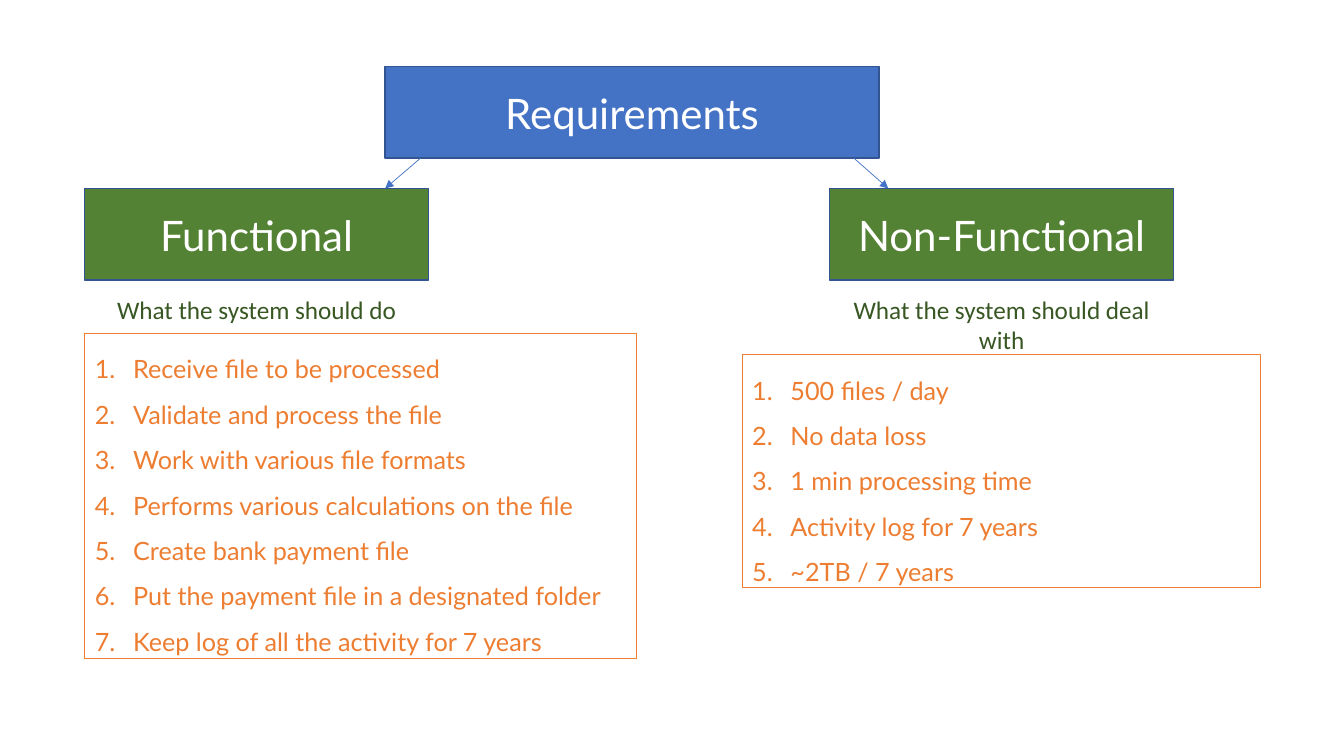
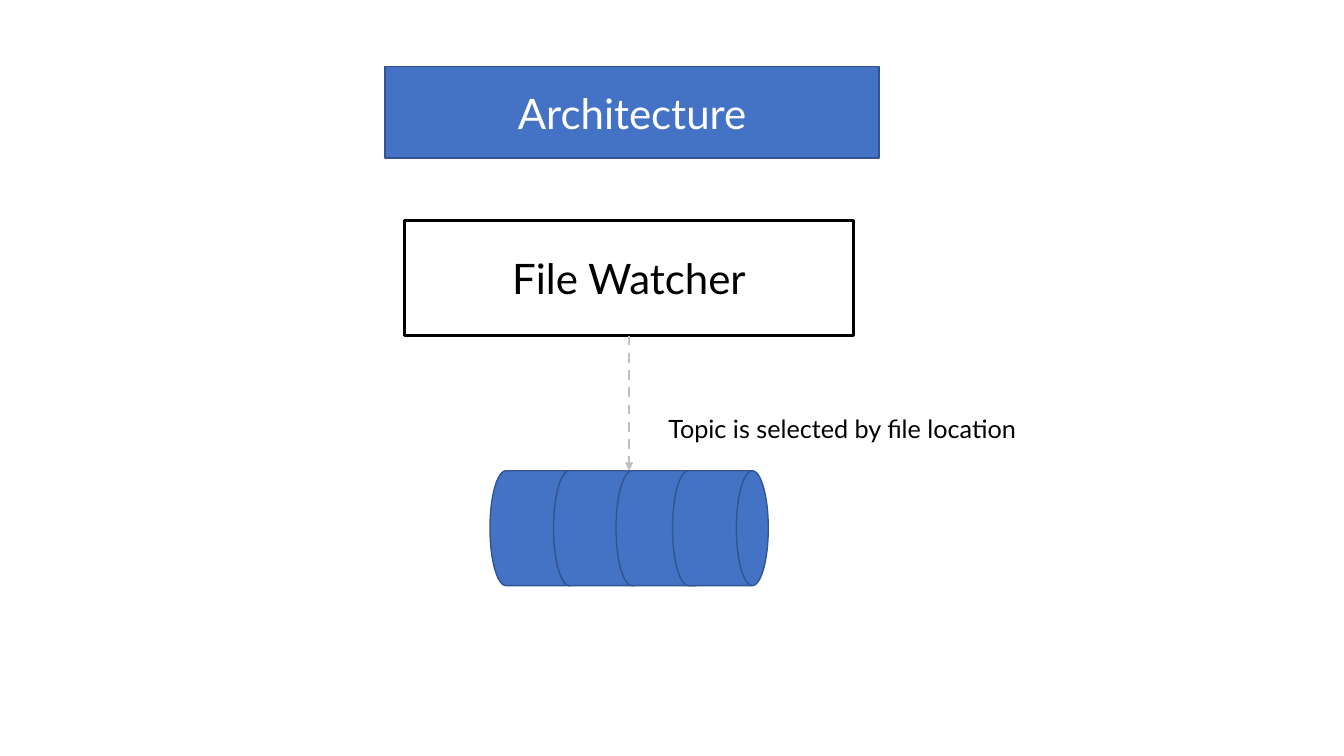
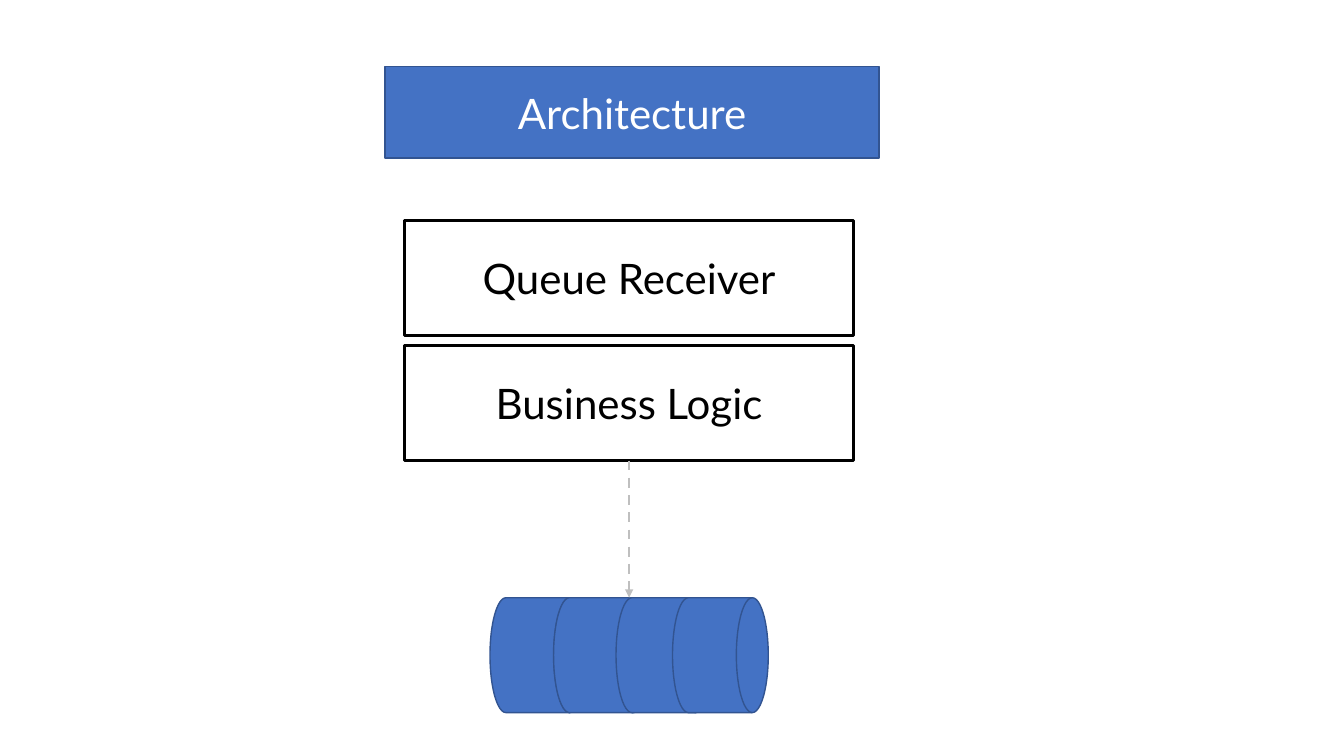
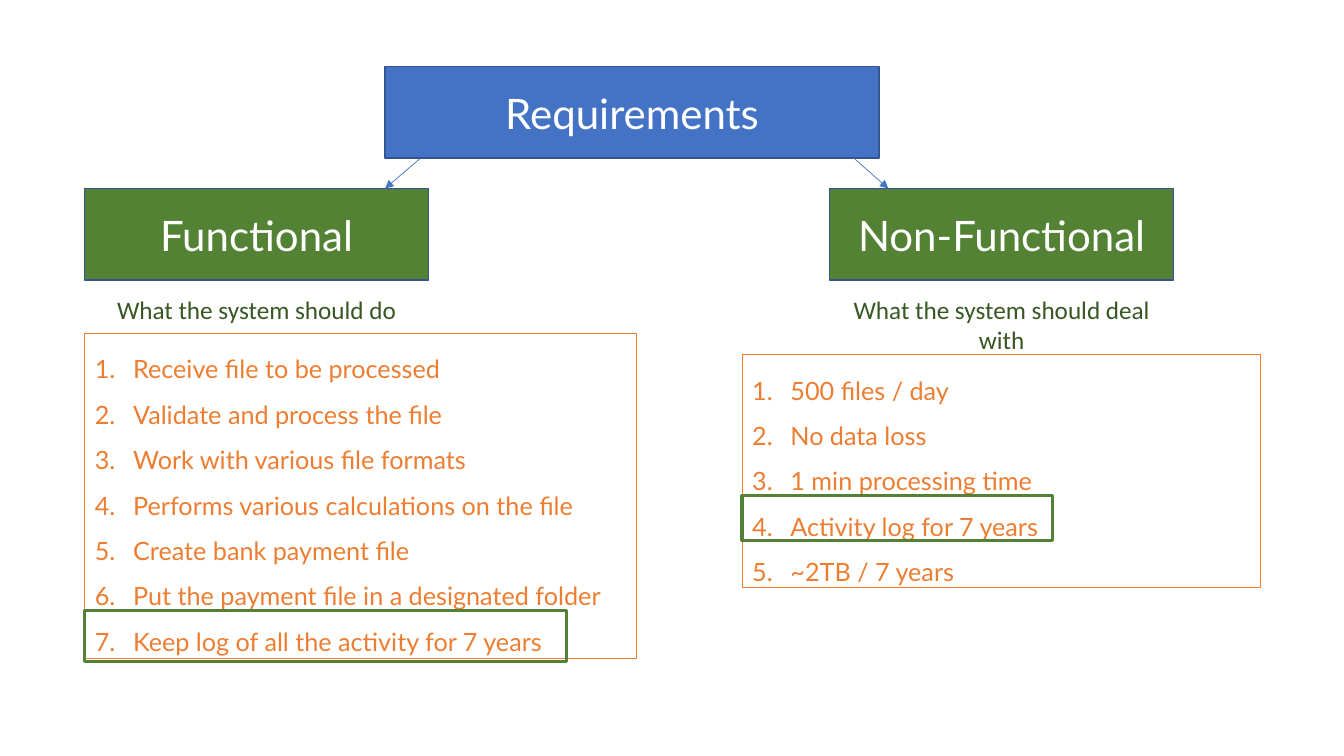
"""Build the requirements and architecture slides."""

import dataclasses
import typing

import pptx
import pptx.dml.color
import pptx.enum.dml
import pptx.enum.shapes
import pptx.enum.text
import pptx.oxml
import pptx.oxml.ns
import pptx.presentation
import pptx.shapes.autoshape
import pptx.shapes.connector
import pptx.slide
import pptx.util

Inches = pptx.util.Inches
Pt = pptx.util.Pt
PresetShape = pptx.enum.shapes.MSO_SHAPE
Anchor = pptx.enum.text.MSO_ANCHOR
Align = pptx.enum.text.PP_ALIGN
AutoSize = pptx.enum.text.MSO_AUTO_SIZE

COLOURS = {
    "blue": "4472C4",
    "outline": "325491",
    "green": "548235",
    "dark_green": "385723",
    "orange": "ED7D31",
    "grey": "BFBFBF",
    "black": "000000",
    "white": "FFFFFF",
}

TWO_CONTENT_LAYOUT = 3
TITLE_ONLY_LAYOUT = 5
LIST_INDENT = Inches(0.38)
DRUM_LEFTS = (4.86, 5.49, 6.11, 6.67)


@dataclasses.dataclass(frozen=True)
class Box:
    left: float
    top: float
    width: float
    height: float

    def lengths(self) -> tuple[pptx.util.Length, ...]:
        return tuple(Inches(value) for value in dataclasses.astuple(self))


@dataclasses.dataclass(frozen=True)
class TextStyle:
    colour: str
    font: dict[str, typing.Any]
    paragraph: dict[str, typing.Any]
    frame: dict[str, typing.Any]


@dataclasses.dataclass(frozen=True)
class Branch:
    heading: str
    heading_box: Box
    caption: str
    caption_box: Box
    items: tuple[str, ...]
    list_box: Box
    arrow: tuple[float, float]
    highlight_box: Box


HEADING_FONT = {"name": "Lato", "size": Pt(30)}
BODY_FONT = {"name": "Lato", "size": Pt(18)}
CENTRED = {"alignment": Align.CENTER}
MIDDLE = {"word_wrap": True, "auto_size": AutoSize.NONE, "vertical_anchor": Anchor.MIDDLE}
FIXED = {"word_wrap": True, "auto_size": AutoSize.NONE, "vertical_anchor": Anchor.TOP}
GROWING = {"word_wrap": True, "auto_size": AutoSize.SHAPE_TO_FIT_TEXT, "vertical_anchor": Anchor.TOP}

STYLES = {
    "heading": TextStyle("white", HEADING_FONT, CENTRED, MIDDLE),
    "component": TextStyle("black", HEADING_FONT, CENTRED, MIDDLE),
    "caption": TextStyle("dark_green", {"name": "Calibri", "size": Pt(18)}, CENTRED, GROWING),
    "list": TextStyle(
        "orange", BODY_FONT,
        {"alignment": Align.LEFT, "line_spacing": 1.5, "space_before": Pt(0)}, FIXED,
    ),
    "note": TextStyle("black", BODY_FONT, {"line_spacing": 2.0}, GROWING),
}

TITLE_BOX = Box(3.82, 0.66, 4.9, 0.91)
COMPONENT_BOX = Box(4.01, 2.19, 4.46, 1.14)
COMPONENT_STEP = 1.24

BRANCHES = (
    Branch(
        "Functional", Box(0.84, 1.87, 3.41, 0.91),
        "What the system should do", Box(0.84, 2.87, 3.41, 0.4),
        (
            "Receive file to be processed",
            "Validate and process the file",
            "Work with various file formats",
            "Performs various calculations on the file",
            "Create bank payment file",
            "Put the payment file in a designated folder",
            "Keep log of all the activity for 7 years",
        ),
        Box(0.84, 3.31, 5.47, 3.22), (4.17, 3.82), Box(0.84, 6.06, 4.78, 0.5),
    ),
    Branch(
        "Non-Functional", Box(8.23, 1.87, 3.41, 0.91),
        "What the system should deal with", Box(8.23, 2.87, 3.41, 0.71),
        (
            "500 files / day",
            "No data loss",
            "1 min processing time",
            "Activity log for 7 years",
            "~2TB / 7 years",
        ),
        Box(7.36, 3.52, 5.14, 2.31), (8.47, 8.81), Box(7.36, 4.92, 3.08, 0.44),
    ),
)


def rgb(colour: str) -> pptx.dml.color.RGBColor:
    return pptx.dml.color.RGBColor.from_string(COLOURS[colour])


def apply_format(target: typing.Any, values: dict[str, typing.Any]) -> None:
    for name, value in values.items():
        setattr(target, name, value)


def place(shape: typing.Any, box: Box) -> None:
    apply_format(shape, dict(zip(("left", "top", "width", "height"), box.lengths())))


def paint(
    shape: pptx.shapes.autoshape.Shape, fill: str | None, line: str, width: float
) -> None:
    shape.shadow.inherit = False
    if fill:
        shape.fill.solid()
        shape.fill.fore_color.rgb = rgb(fill)
    else:
        shape.fill.background()
    shape.line.color.rgb = rgb(line)
    shape.line.width = Pt(width)


def write(shape: pptx.shapes.autoshape.Shape, lines: typing.Sequence[str], style: TextStyle) -> None:
    frame = shape.text_frame
    frame.text = "\n".join(lines)
    apply_format(frame, style.frame)
    for paragraph in frame.paragraphs:
        apply_format(paragraph, style.paragraph)
        for run in paragraph.runs:
            apply_format(run.font, style.font)
            run.font.color.rgb = rgb(style.colour)


def number(shape: pptx.shapes.autoshape.Shape) -> None:
    for paragraph in shape.text_frame.paragraphs:
        properties = paragraph._p.get_or_add_pPr()
        properties.set("marL", str(LIST_INDENT))
        properties.set("indent", str(-LIST_INDENT))
        for tag, attribute, value in (
            ("buFont", "typeface", "+mj-lt"),
            ("buAutoNum", "type", "arabicPeriod"),
        ):
            bullet = pptx.oxml.parse_xml(f'<a:{tag} {pptx.oxml.ns.nsdecls("a")} {attribute}="{value}"/>')
            properties.append(bullet)


def add_rectangle(
    slide: pptx.slide.Slide, box: Box, fill: str | None, line: str, width: float
) -> pptx.shapes.autoshape.Shape:
    shape = slide.shapes.add_shape(PresetShape.RECTANGLE, *box.lengths())
    paint(shape, fill, line, width)
    return shape


def add_text(slide: pptx.slide.Slide, box: Box, text: str, style: str) -> None:
    shape = slide.shapes.add_textbox(*box.lengths())
    write(shape, [text], STYLES[style])


def add_arrow(
    slide: pptx.slide.Slide,
    start: tuple[float, float],
    end: tuple[float, float],
    colour: str,
    width: float,
) -> pptx.shapes.connector.Connector:
    connector = slide.shapes.add_connector(
        pptx.enum.shapes.MSO_CONNECTOR.STRAIGHT, *(Inches(value) for value in start + end)
    )
    connector.line.color.rgb = rgb(colour)
    connector.line.width = Pt(width)
    properties = connector._element.spPr
    namespace = pptx.oxml.ns.nsdecls("a")
    outline = properties.find(pptx.oxml.ns.qn("a:ln"))
    outline.append(pptx.oxml.parse_xml(f'<a:tailEnd {namespace} type="triangle"/>'))
    properties.append(pptx.oxml.parse_xml(f"<a:effectLst {namespace}/>"))
    return connector


def add_titled_slide(
    presentation: pptx.presentation.Presentation, layout: int, title: str
) -> pptx.slide.Slide:
    slide = presentation.slides.add_slide(presentation.slide_layouts[layout])
    shape = slide.shapes.title
    place(shape, TITLE_BOX)
    paint(shape, "blue", "outline", 1)
    write(shape, [title], STYLES["heading"])
    return slide


def add_requirements(presentation: pptx.presentation.Presentation, highlighted: bool) -> None:
    slide = add_titled_slide(presentation, TWO_CONTENT_LAYOUT, "Requirements")
    for index, branch in enumerate(BRANCHES, start=1):
        heading = add_rectangle(slide, branch.heading_box, "green", "outline", 1)
        write(heading, [branch.heading], STYLES["heading"])
        start, end = branch.arrow
        title_bottom = TITLE_BOX.top + TITLE_BOX.height
        add_arrow(slide, (start, title_bottom), (end, branch.heading_box.top), "blue", 0.5)
        add_text(slide, branch.caption_box, branch.caption, "caption")
        body = slide.placeholders[index]
        place(body, branch.list_box)
        paint(body, None, "orange", 0.75)
        write(body, branch.items, STYLES["list"])
        number(body)
        if highlighted:
            add_rectangle(slide, branch.highlight_box, None, "green", 2.25)


def add_queue(slide: pptx.slide.Slide, top: float) -> None:
    group = slide.shapes.add_group_shape()
    for left in DRUM_LEFTS:
        drum = group.shapes.add_shape(
            PresetShape.FLOWCHART_DIRECT_ACCESS_STORAGE, *Box(left, top, 0.95, 1.14).lengths()
        )
        paint(drum, "blue", "outline", 1)


def add_architecture(
    presentation: pptx.presentation.Presentation, components: typing.Sequence[str], queue_top: float
) -> pptx.slide.Slide:
    slide = add_titled_slide(presentation, TITLE_ONLY_LAYOUT, "Architecture")
    for index, name in enumerate(components):
        box = dataclasses.replace(COMPONENT_BOX, top=COMPONENT_BOX.top + index * COMPONENT_STEP)
        component = add_rectangle(slide, box, None, "black", 2)
        write(component, [name], STYLES["component"])
    add_queue(slide, queue_top)
    centre = box.left + box.width / 2
    arrow = add_arrow(slide, (centre, box.top + box.height), (centre, queue_top), "grey", 1.75)
    arrow.line.dash_style = pptx.enum.dml.MSO_LINE.DASH
    arrow.begin_connect(component, 2)
    return slide


def main() -> None:
    presentation = pptx.Presentation()
    apply_format(presentation, {"slide_width": Inches(13.33), "slide_height": Inches(7.5)})
    add_requirements(presentation, highlighted=False)
    watcher_slide = add_architecture(presentation, ["File Watcher"], 4.67)
    add_text(watcher_slide, Box(6.53, 3.75, 4.07, 0.61), "Topic is selected by file location", "note")
    add_architecture(presentation, ["Queue Receiver", "Business Logic"], 5.93)
    add_requirements(presentation, highlighted=True)
    presentation.save("out.pptx")


if __name__ == "__main__":
    main()
